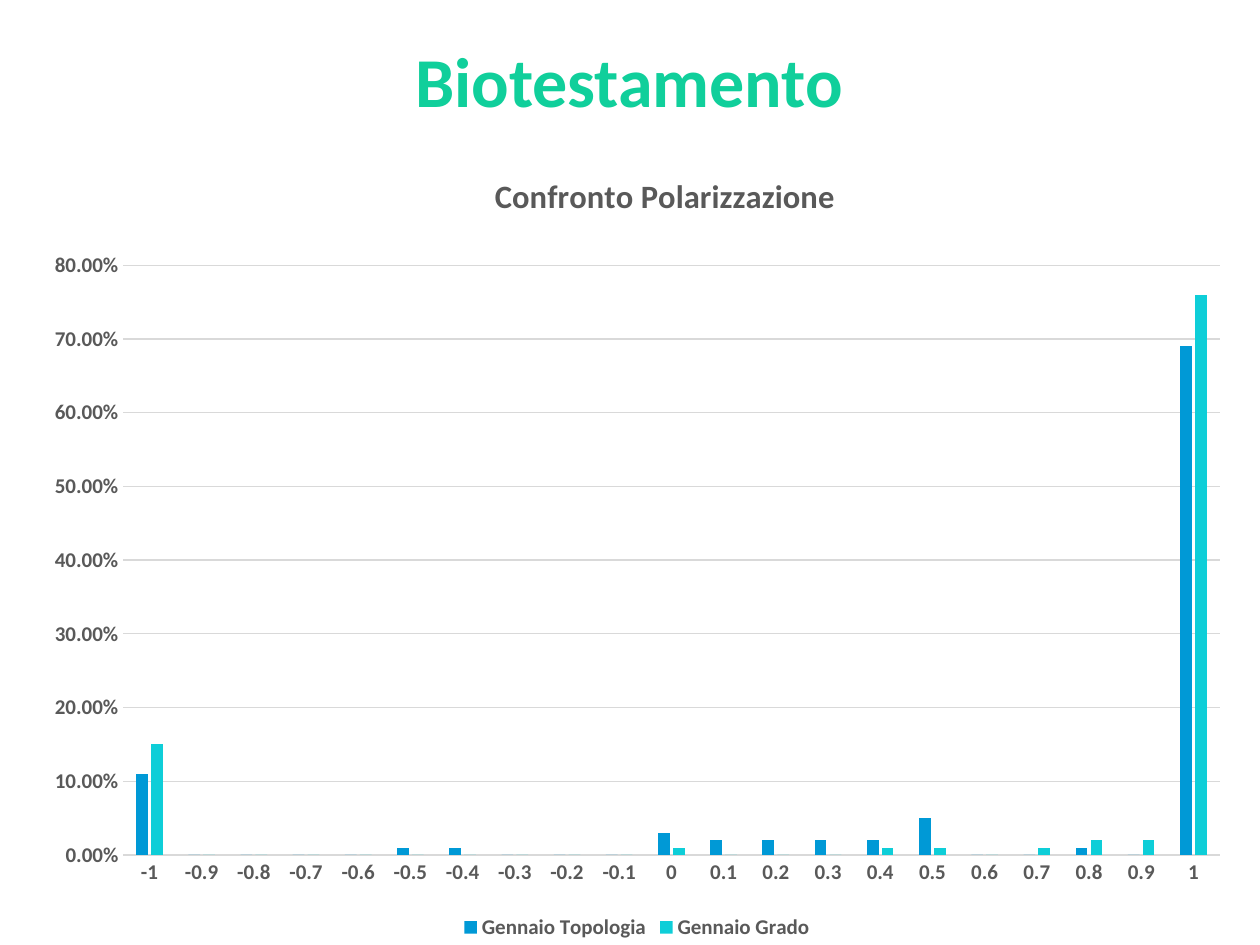
from dataclasses import dataclass

from lxml import etree
from pptx import Presentation
from pptx.chart.data import CategoryChartData
from pptx.dml.color import RGBColor
from pptx.enum.chart import XL_CHART_TYPE, XL_LEGEND_POSITION, XL_TICK_MARK
from pptx.enum.text import MSO_ANCHOR, MSO_AUTO_SIZE, PP_ALIGN
from pptx.oxml.ns import qn
from pptx.util import Inches, Pt

CLUSTERED = XL_CHART_TYPE.COLUMN_CLUSTERED
BOTTOM = XL_LEGEND_POSITION.BOTTOM
NO_TICK = XL_TICK_MARK.NONE
MIDDLE = MSO_ANCHOR.MIDDLE
NO_FIT = MSO_AUTO_SIZE.NONE
CENTER = PP_ALIGN.CENTER


@dataclass(frozen=True)
class Theme:
    """Colours, typeface and type sizes of the slide."""
    font: str = "Calibri"
    heading: str = "10CF9B"
    text: str = "595959"
    grid: str = "D9D9D9"
    series: tuple = ("0099D6", "0ECED8")
    heading_size: int = 40
    chart_title_size: float = 18.6
    label_size: int = 12


THEME = Theme()
WIDTH, HEIGHT = Inches(10), Inches(7.5)
TITLE_BOX = (17.2, 4.27, 66.7, 9.47)
CHART_BOX = (2.4, 17.07, 96.3, 82.93)
CHART_TITLE_AT = {"x": 37.8, "y": 0.7}
PLOT_AT = {"x": 7.67, "y": 13.27, "w": 90.35, "h": 75.26}
CATEGORIES = [f"{step / 10:g}" for step in range(-10, 11)]
SERIES = {
    "Gennaio Topologia": (
        0.11, 0, 0, 0, 0, 0.01, 0.01, 0, 0, 0, 0.03,
        0.02, 0.02, 0.02, 0.02, 0.05, 0, 0, 0.01, 0, 0.69),
    "Gennaio Grado": (
        0.15, 0, 0, 0, 0, 0, 0, 0, 0, 0, 0.01,
        0, 0, 0, 0.01, 0.01, 0, 0.01, 0.02, 0.02, 0.76),
}


def place(box):
    """Turn percentages of the slide's size into lengths."""
    return [int(share * side / 100) for share, side in zip(box, (WIDTH, HEIGHT) * 2)]


def set_font(font, size, color):
    """Apply the bold theme typeface at a given size and colour."""
    for name, value in {"name": THEME.font, "size": Pt(size), "bold": True}.items():
        setattr(font, name, value)
    font.color.rgb = RGBColor.from_string(color)


def set_line(line):
    """Draw a thin line in the grid colour."""
    line.color.rgb = RGBColor.from_string(THEME.grid)
    line.width = Pt(0.75)


def set_layout(parent, index, position, inner=False):
    """Give a chart part a manual position in percentages of the chart."""
    for old in parent.findall(qn("c:layout")):
        parent.remove(old)
    layout = etree.Element(qn("c:layout"))
    manual = etree.SubElement(layout, qn("c:manualLayout"))
    values = {"layoutTarget": "inner"} if inner else {}
    values |= {"xMode": "edge", "yMode": "edge"}
    values |= {tag: share / 100 for tag, share in position.items()}
    for tag, value in values.items():
        etree.SubElement(manual, qn(f"c:{tag}")).set("val", str(value))
    parent.insert(index, layout)


def add_title(s, box):
    """Write the slide heading in the title placeholder."""
    title = s.shapes.title
    for name, value in zip(("left", "top", "width", "height"), place(box)):
        setattr(title, name, value)
    tf = title.text_frame
    for name, value in {"auto_size": NO_FIT, "vertical_anchor": MIDDLE, "word_wrap": True}.items():
        setattr(tf, name, value)
    p = tf.paragraphs[0]
    p.alignment = CENTER
    p.line_spacing = 0.9
    r = p.add_run()
    r.text = "Biotestamento "
    set_font(r.font, THEME.heading_size, THEME.heading)


def format_axes(chart):
    """Style the category axis, the percentage axis and its grid."""
    for axis in (chart.category_axis, chart.value_axis):
        axis.major_tick_mark = axis.minor_tick_mark = NO_TICK
        set_font(axis.tick_labels.font, THEME.label_size, THEME.text)
    chart.category_axis.has_major_gridlines = False
    set_line(chart.category_axis.format.line)
    values = chart.value_axis
    for name, value in {"minimum_scale": 0, "maximum_scale": 0.8, "major_unit": 0.1}.items():
        setattr(values, name, value)
    values.format.line.fill.background()
    set_line(values.major_gridlines.format.line)
    values.tick_labels.number_format = "0.00%"
    values.tick_labels.number_format_is_linked = False


def add_comparison_chart(s, box):
    """Compare both polarisation series as clustered columns."""
    data = CategoryChartData(number_format="0.00%")
    data.categories = CATEGORIES
    for name, values in SERIES.items():
        data.add_series(name, values)
    chart = s.shapes.add_chart(CLUSTERED, *place(box), data).chart
    set_font(chart.font, THEME.label_size, THEME.text)

    chart.has_title = True
    r = chart.chart_title.text_frame.paragraphs[0].add_run()
    r.text = "Confronto Polarizzazione"
    set_font(r.font, THEME.chart_title_size, THEME.text)
    set_layout(chart.chart_title._element, 1, CHART_TITLE_AT)

    chart.has_legend = True
    chart.legend.position = BOTTOM
    chart.legend.include_in_layout = False
    set_font(chart.legend.font, THEME.label_size, THEME.text)

    plot = chart.plots[0]
    for name, value in {"gap_width": 219, "overlap": -27, "vary_by_categories": False}.items():
        setattr(plot, name, value)
    for series, color in zip(plot.series, THEME.series):
        series.format.fill.solid()
        series.format.fill.fore_color.rgb = RGBColor.from_string(color)
    format_axes(chart)
    set_layout(plot._element.getparent(), 0, PLOT_AT, inner=True)


def main():
    """Build and save the slide."""
    prs = Presentation()
    prs.slide_width, prs.slide_height = WIDTH, HEIGHT
    s = prs.slides.add_slide(prs.slide_layouts[5])
    add_title(s, TITLE_BOX)
    add_comparison_chart(s, CHART_BOX)
    prs.save("out.pptx")


if __name__ == "__main__":
    main()
